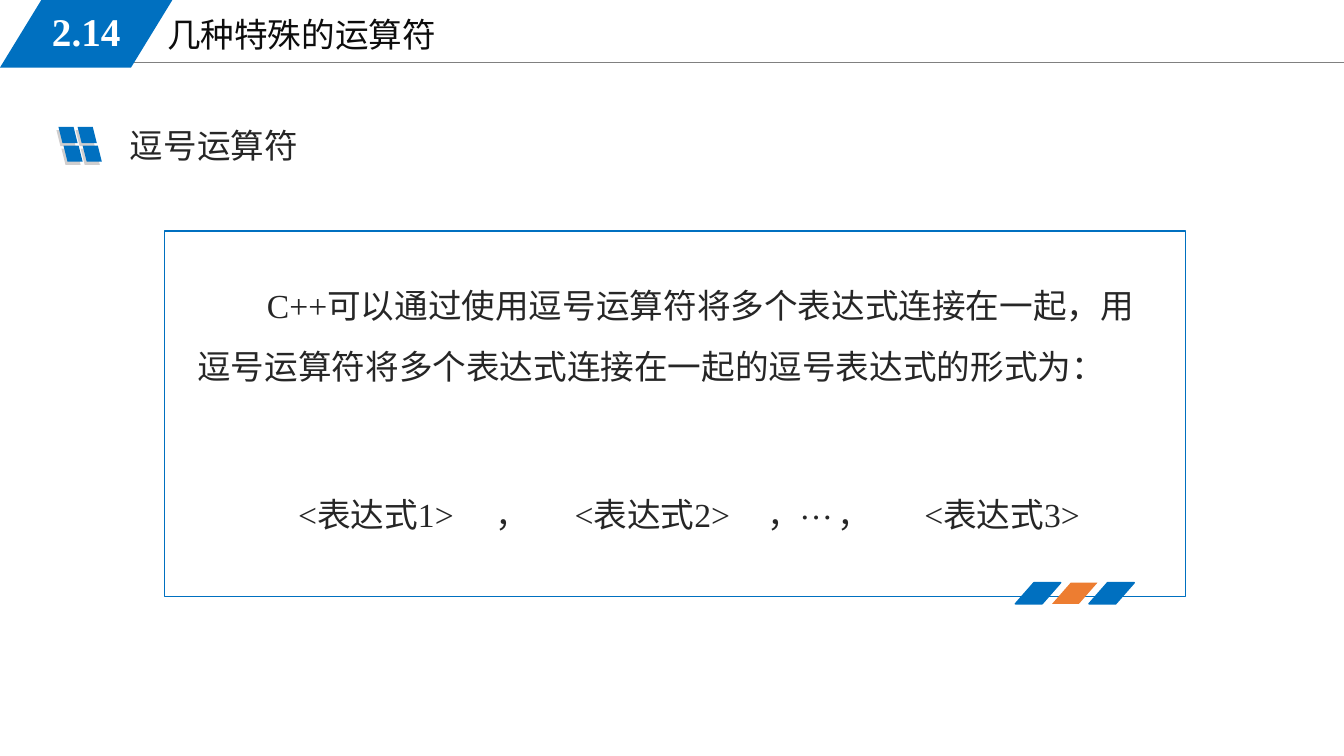
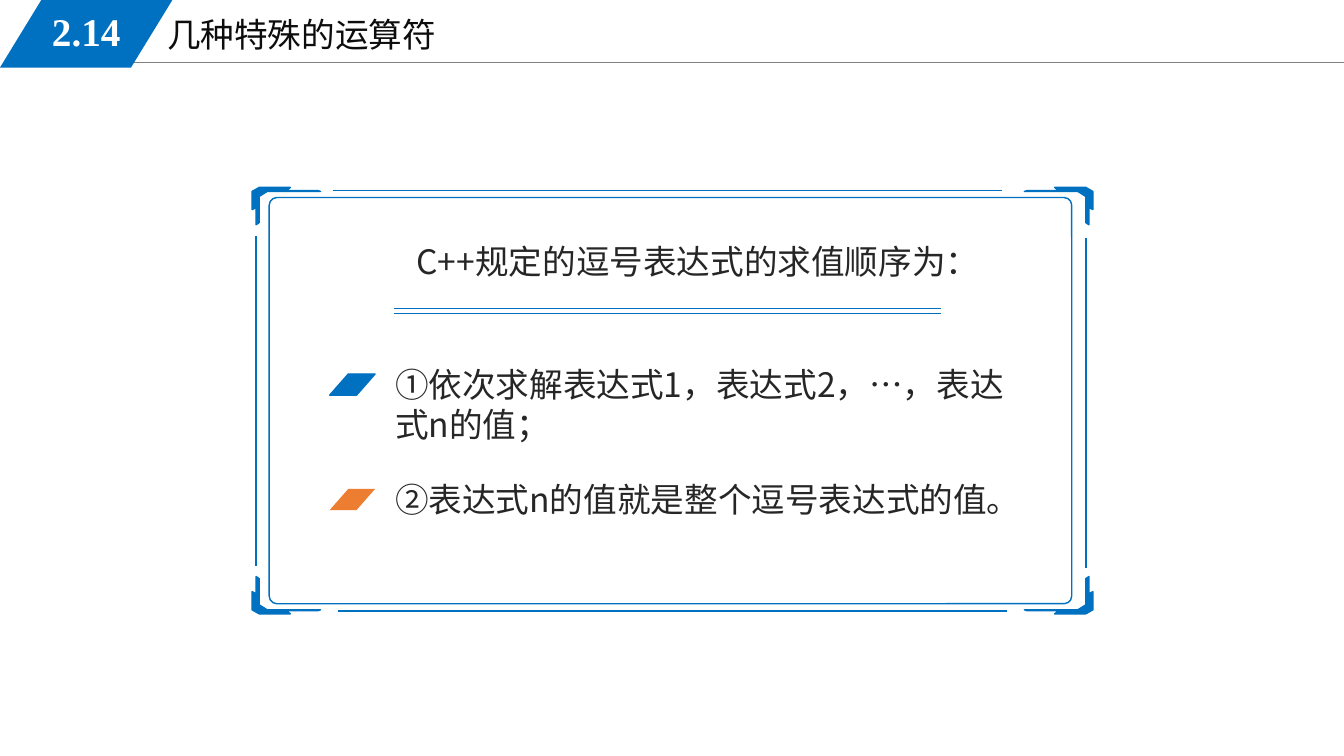
from itertools import product

from lxml import etree
from pptx import Presentation
from pptx.dml.color import RGBColor
from pptx.enum import lang, shapes, text
from pptx.oxml import ns
from pptx.util import Inches, Pt

COLORS = {
    "blue": "0070C0",
    "orange": "ED7D31",
    "shade": "D0CECE",
    "rule": "808080",
    "title": "0D0D0D",
    "body": "262626",
    "white": "FFFFFF",
}
SERIF = "Times New Roman"
SANS = "Noto Sans CJK SC"
CORNER = [
    (0.07, 0), (0.38, 0), (0.34, 0.03), (0.65, 0.03), (0.68, 0.04), (0.15, 0.04),
    (0.07, 0.09), (0.07, 0.35), (0.04, 0.37), (0.04, 0.2), (0, 0.22), (0, 0.04),
]


def color(name):
    return RGBColor.from_string(COLORS[name])


def apply(target, values):
    for name, value in values.items():
        setattr(target, name, value)


def paint(shape, fill=None, line=None):
    shape.shadow.inherit = False
    if fill:
        shape.fill.solid()
        shape.fill.fore_color.rgb = color(fill)
    else:
        shape.fill.background()
    if line:
        shape.line.color.rgb = color(line)
        shape.line.width = Pt(1)
    else:
        shape.line.fill.background()


def add_shape(page, kind, box, fill=None, line=None, adjust=None):
    shape = page.shapes.add_shape(kind, *map(Inches, box))
    paint(shape, fill, line)
    if adjust is not None:
        shape.adjustments[0] = adjust
    return shape


def add_line(page, start, end, line="blue", width=1):
    connector = page.shapes.add_connector(
        shapes.MSO_CONNECTOR.STRAIGHT, *map(Inches, (*start, *end)))
    connector.line.color.rgb = color(line)
    connector.line.width = Pt(width)
    etree.SubElement(connector._element.spPr, ns.qn("a:effectLst"))


def add_text(page, box, words, frame=None, layout=None, tone="body", **style):
    label = page.shapes.add_textbox(*map(Inches, box))
    apply(label.text_frame, {
        "word_wrap": True,
        "auto_size": text.MSO_AUTO_SIZE.SHAPE_TO_FIT_TEXT,
        **(frame or {}),
    })
    para = label.text_frame.paragraphs[0]
    apply(para, layout or {})
    span = para.add_run()
    span.text = words
    apply(span.font, {
        "name": SERIF,
        "size": Pt(24),
        "language_id": lang.MSO_LANGUAGE_ID.SIMPLIFIED_CHINESE,
        **style,
    })
    span.font.color.rgb = color(tone)
    etree.SubElement(span.font._element, ns.qn("a:ea"), typeface=SANS)
    return para


def add_header(page, number, title):
    add_line(page, (1.13, 0.62), (13.33, 0.62), "rule", 0.75)
    add_text(page, (1.56, 0.09, 5.67, 0.51), title, tone="title")
    add_shape(page, shapes.MSO_SHAPE.PARALLELOGRAM, (0, 0, 1.71, 0.67),
              "blue", adjust=0.612)
    add_text(page, (0.25, 0.02, 1.21, 0.58), number,
             {"vertical_anchor": text.MSO_ANCHOR.MIDDLE},
             {"alignment": text.PP_ALIGN.CENTER},
             "white", size=Pt(28), bold=True)


def add_slash(page, left, top, fill):
    slash = add_shape(page, shapes.MSO_SHAPE.PARALLELOGRAM, (left, top, 0.45, 0.21),
                      fill, "blue" if fill == "blue" else None, 0.878)
    slash.rotation = 180


def add_section_heading(page, left, top, words):
    for fill, across, down in (("shade", 0, 0.1), ("blue", 0.02, 0.07)):
        for row, column in product(range(2), repeat=2):
            tile = add_shape(
                page, shapes.MSO_SHAPE.PARALLELOGRAM,
                (left + across + 0.19 * column + 0.05 * row,
                 top + down + 0.185 * row, 0.19, 0.16), fill)
            tile._element.spPr.find(ns.qn("a:xfrm")).set("flipH", "1")
    add_text(page, (left + 0.63, top, 2.35, 0.5), words)


def add_definition(page, left, top, width, height, words, pieces):
    add_shape(page, shapes.MSO_SHAPE.RECTANGLE, (left, top, width, height), line="blue")
    for index, fill in enumerate(("blue", "orange", "blue")):
        add_slash(page, left + 8.44 + 0.365 * index, top + height - 0.14, fill)
    para = add_text(page, (left + 0.23, top + 0.29, 9.67, 1.31), words,
                    layout={"line_spacing": 1.5})
    para._p.get_or_add_pPr().set("indent", str(Inches(0.69)))
    for across, down, span_width, piece in pieces:
        add_text(page, (left + across, top + down, span_width, 0.5), piece)


def add_bracket_frame(page, left, top, width, height):
    right, bottom = left + width, top + height
    for flip_x, flip_y in product((False, True), repeat=2):
        points = [
            (Inches(right - x if flip_x else left + x),
             Inches(bottom - y if flip_y else top + y))
            for x, y in CORNER
        ]
        outline = page.shapes.build_freeform(*points[0], scale=1.0)
        outline.add_line_segments(points[1:], close=True)
        paint(outline.convert_to_shape(), "blue", "blue")
    add_shape(page, shapes.MSO_SHAPE.ROUNDED_RECTANGLE,
              (left + 0.17, top + 0.1, width - 0.38, height - 0.2),
              line="blue", adjust=0.019)
    for start, y in ((left + 0.8, top + 0.03), (left + 0.85, bottom - 0.03)):
        add_line(page, (start, y), (start + 6.64, y))
    for x, start in ((left + 0.04, top + 0.48), (right - 0.07, top + 0.5)):
        add_line(page, (x, start), (x, start + 3.28))


def add_order_panel(page, left, top, width, height, heading, steps):
    add_bracket_frame(page, left, top, width, height)
    add_text(page, (left + 1.41, top + 0.48, 5.69, 0.5), heading,
             layout={"alignment": text.PP_ALIGN.CENTER}, name=SANS)
    for down in (1.2, 1.25):
        add_line(page, (left + 1.41, top + down), (left + 6.83, top + down))
    for index, (fill, step_width, words) in enumerate(steps):
        step_top = top + 1.7 + 1.14 * index
        add_text(page, (left + 1.32, step_top, step_width, 0.91), words, name=SANS)
        add_slash(page, left + 0.77, step_top + 0.15, fill)


def main():
    deck = Presentation()
    apply(deck, {"slide_width": Inches(13.33), "slide_height": Inches(7.5)})
    pages = [deck.slides.add_slide(deck.slide_layouts[6]) for _ in range(2)]
    for page in pages:
        add_header(page, "2.14", "几种特殊的运算符")
    comma_page, order_page = pages

    add_section_heading(comma_page, 0.56, 1.19, "逗号运算符")
    add_definition(
        comma_page, 1.63, 2.29, 10.13, 3.63,
        "C++可以通过使用逗号运算符将多个表达式连接在一起，"
        "用逗号运算符将多个表达式连接在一起的逗号表达式的形式为：",
        [
            (1.23, 2.56, 2.13, "<表达式1>"),
            (3.97, 2.56, 2.13, "<表达式2>"),
            (7.44, 2.56, 2.13, "<表达式3>"),
            (3.19, 2.56, 0.44, "，"),
            (5.88, 2.56, 0.44, "，"),
            (6.58, 2.56, 0.44, "，"),
            (6.2, 2.48, 0.44, "…"),
        ])

    add_order_panel(
        order_page, 2.5, 1.86, 8.34, 4.23,
        "C++规定的逗号表达式的求值顺序为：",
        [
            ("blue", 6.24, "①依次求解表达式1，表达式2，…，表达式n的值；"),
            ("orange", 6.1, "②表达式n的值就是整个逗号表达式的值。"),
        ])
    deck.save("out.pptx")


if __name__ == "__main__":
    main()
